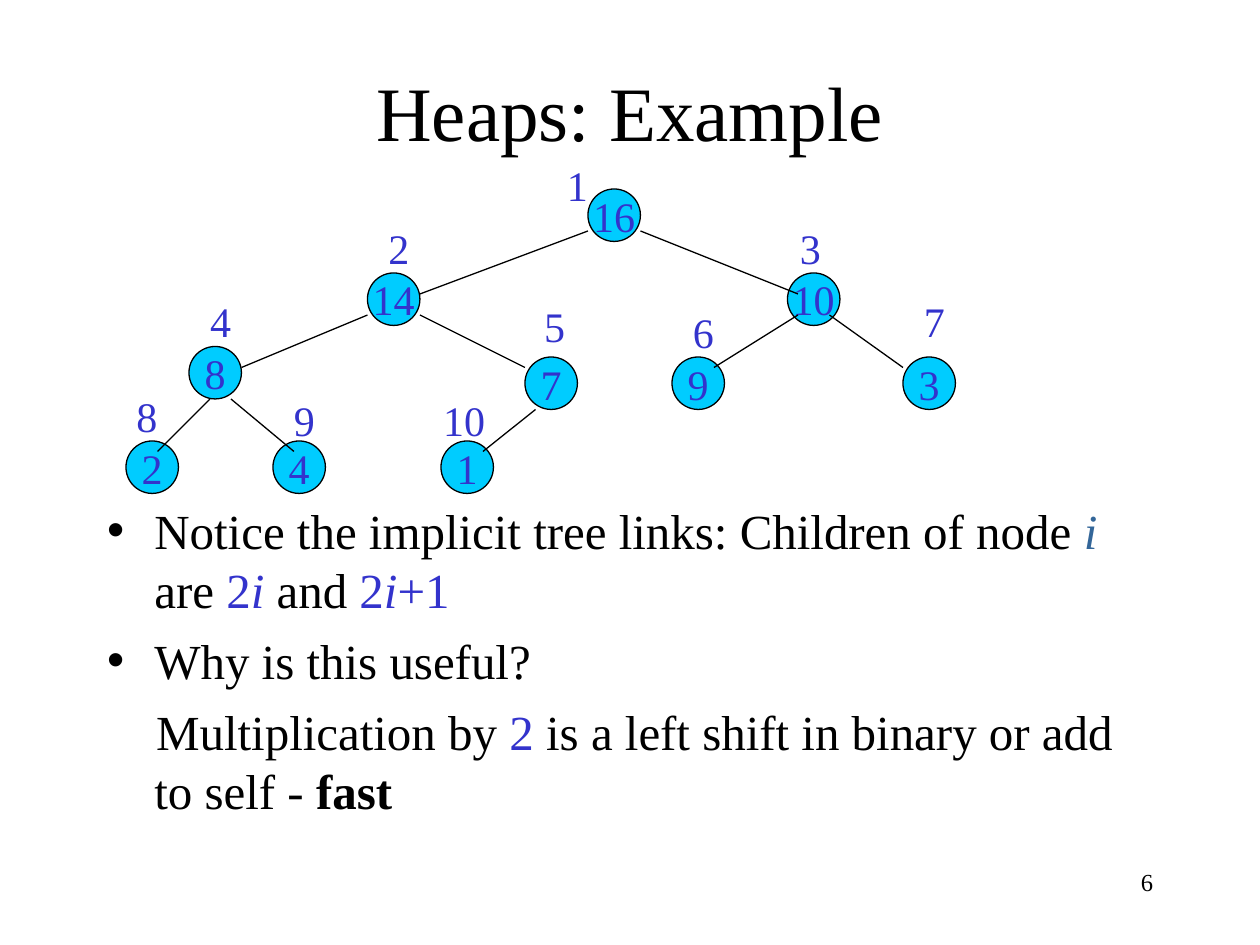
from dataclasses import dataclass
from typing import Optional

from lxml import etree
from pptx import Presentation
from pptx.dml.color import RGBColor
from pptx.enum import shapes, text
from pptx.oxml import ns
from pptx.util import Pt

COLORS = {"ink": "000000", "blue": "3333CC", "teal": "336699", "node": "00CCFF"}
FONT = "Times New Roman"
DIAMETER = 30
LABEL_HEIGHT = 36
LABEL_PADDING = 15
DIGIT_WIDTH = 12
HANG = 27
Point = tuple[float, float]


@dataclass(frozen=True)
class Node:
    key: int
    corner: Point
    label: Point
    link: Optional[tuple[Point, Point]] = None  # from the parent to this node


@dataclass(frozen=True)
class Span:
    words: str
    color: str = "ink"
    italic: bool = False
    bold: bool = False


@dataclass(frozen=True)
class Item:
    spans: tuple[Span, ...]
    bullet: bool = True


# Heap nodes in array order, so a node's index is its place in the list
HEAP = [
    Node(16, (336, 108), (316.8, 87.4)),
    Node(14, (210, 156), (214.8, 123.4), ((336, 132), (240, 168))),
    Node(10, (450, 156), (450, 123.4), ((366, 132), (456, 168))),
    Node(8, (108, 198), (113, 165.6), ((210, 180), (138, 210))),
    Node(7, (300, 204), (303.8, 168), ((240, 180), (300, 210))),
    Node(9, (384, 204), (388.8, 171.4), ((456, 180), (408, 210))),
    Node(3, (516, 204), (520.8, 165.6), ((474, 180), (516, 210))),
    Node(2, (72, 252), (70.8, 219.6), ((120, 228), (90, 258))),
    Node(4, (156, 252), (160.8, 221.8), ((132, 228), (168, 258))),
    Node(1, (252, 252), (246.2, 221.8), ((306, 234), (276, 258))),
]

ITEMS = [
    Item((
        Span("Notice the implicit tree links: Children of node "),
        Span("i", "teal", italic=True), Span(" are "),
        Span("2", "blue"), Span("i", "blue", italic=True), Span(" and "),
        Span("2", "blue"), Span("i", "blue", italic=True), Span("+1", "blue"),
    )),
    Item((Span("Why is this useful?"),)),
    Item((
        Span("Multiplication by "), Span("2", "blue"),
        Span(" is a left shift in binary or add to self - "),
        Span("fast", bold=True),
    ), bullet=False),
]


def rgb(name: str) -> RGBColor:
    return RGBColor.from_string(COLORS[name])


def add_run(paragraph, span: Span, size: float) -> None:
    run = paragraph.add_run()
    run.text = span.words
    formats = {"name": FONT, "size": Pt(size), "bold": span.bold, "italic": span.italic}
    for attribute, value in formats.items():
        setattr(run.font, attribute, value)
    run.font.color.rgb = rgb(span.color)


def write_line(frame, span: Span, size: float, align, **formats) -> None:
    for attribute, value in formats.items():
        setattr(frame, attribute, value)
    paragraph = frame.paragraphs[0]
    paragraph.alignment = align
    add_run(paragraph, span, size)


def place(shape, left: float, top: float, width: float, height: float) -> None:
    lengths = {"left": left, "top": top, "width": width, "height": height}
    for attribute, value in lengths.items():
        setattr(shape, attribute, Pt(value))


def draw_node(slide, node: Node) -> None:
    circle = slide.shapes.add_shape(
        shapes.MSO_SHAPE.OVAL, *map(Pt, (*node.corner, DIAMETER, DIAMETER)))
    circle.shadow.inherit = False
    circle.fill.solid()
    circle.fill.fore_color.rgb = rgb("node")
    circle.line.color.rgb = rgb("ink")
    circle.line.width = Pt(0.75)
    write_line(circle.text_frame, Span(str(node.key), "blue"), 24,
               text.PP_ALIGN.CENTER, word_wrap=False,
               vertical_anchor=text.MSO_ANCHOR.MIDDLE)


def draw_link(slide, start: Point, end: Point) -> None:
    link = slide.shapes.add_connector(
        shapes.MSO_CONNECTOR.STRAIGHT, *map(Pt, (*start, *end)))
    link.line.color.rgb = rgb("ink")
    link.line.width = Pt(0.75)
    etree.SubElement(link._element.spPr, ns.qn("a:effectLst"))


def draw_index(slide, index: int, node: Node) -> None:
    width = LABEL_PADDING + DIGIT_WIDTH * len(str(index))
    label = slide.shapes.add_textbox(*map(Pt, (*node.label, width, LABEL_HEIGHT)))
    write_line(label.text_frame, Span(str(index), "blue"), 24,
               text.PP_ALIGN.LEFT, word_wrap=False,
               auto_size=text.MSO_AUTO_SIZE.SHAPE_TO_FIT_TEXT)


def write_item(paragraph, item: Item, space_before: float) -> None:
    props = paragraph._p.get_or_add_pPr()
    props.set("marL", str(Pt(HANG)))
    props.set("indent", str(Pt(-HANG if item.bullet else 1)))
    if item.bullet:
        tint = etree.SubElement(props, ns.qn("a:buClr"))
        etree.SubElement(tint, ns.qn("a:srgbClr"), val=COLORS["ink"])
        etree.SubElement(props, ns.qn("a:buChar"), char="•")
    else:
        etree.SubElement(props, ns.qn("a:buNone"))
    paragraph.space_before = Pt(space_before)
    paragraph.line_spacing = 1.0
    for span in item.spans:
        add_run(paragraph, span, 28)


def main() -> None:
    deck = Presentation()
    deck.slide_width, deck.slide_height = Pt(720), Pt(540)
    slide = deck.slides.add_slide(deck.slide_layouts[1])

    # Title
    title = slide.shapes.title
    place(title, 54, 18, 612, 90)
    write_line(title.text_frame, Span("Heaps: Example"), 44, text.PP_ALIGN.CENTER,
               vertical_anchor=text.MSO_ANCHOR.MIDDLE)

    # List, with a deep top margin that leaves room for the tree
    notes = slide.placeholders[1]
    place(notes, 54, 120, 612, 360)
    frame = notes.text_frame
    frame.auto_size = text.MSO_AUTO_SIZE.NONE
    frame.vertical_anchor = text.MSO_ANCHOR.TOP
    frame.margin_top = Pt(166)
    for number, item in enumerate(ITEMS):
        paragraph = frame.add_paragraph() if number else frame.paragraphs[0]
        write_item(paragraph, item, 7 if number else 0)

    # Heap tree
    for node in HEAP:
        draw_node(slide, node)
    for node in HEAP:
        if node.link:
            draw_link(slide, *node.link)
    for index, node in enumerate(HEAP, start=1):
        draw_index(slide, index, node)

    # Page number
    page = slide.shapes.add_textbox(*map(Pt, (516, 492, 150, 36)))
    write_line(page.text_frame, Span("6"), 14, text.PP_ALIGN.RIGHT, word_wrap=True)

    deck.save("out.pptx")


if __name__ == "__main__":
    main()
